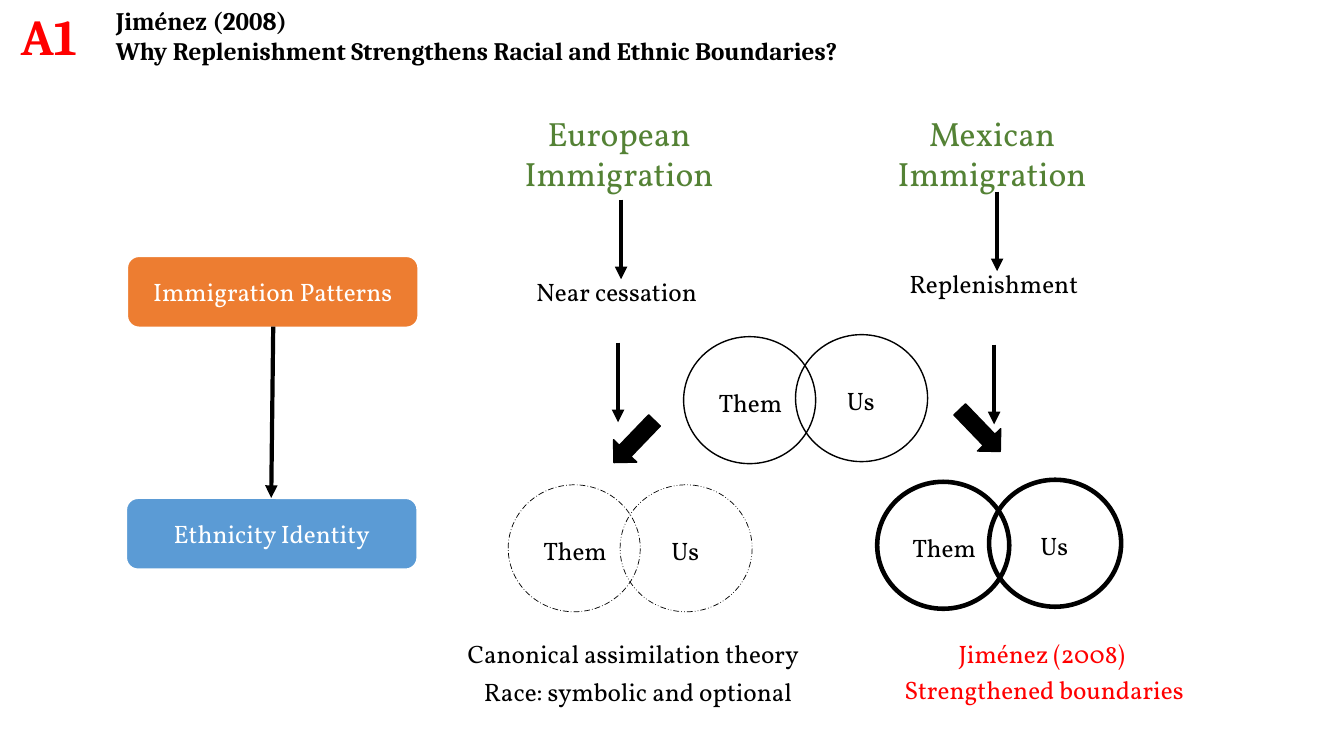
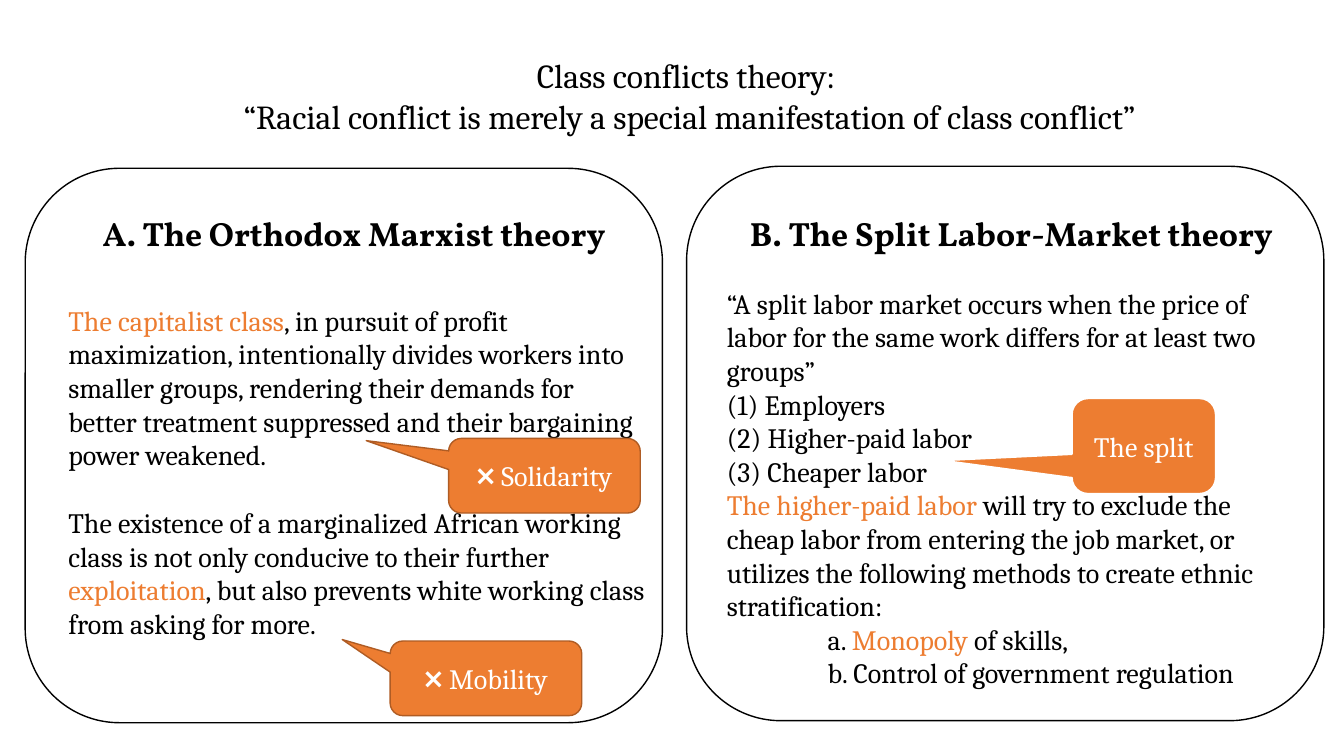
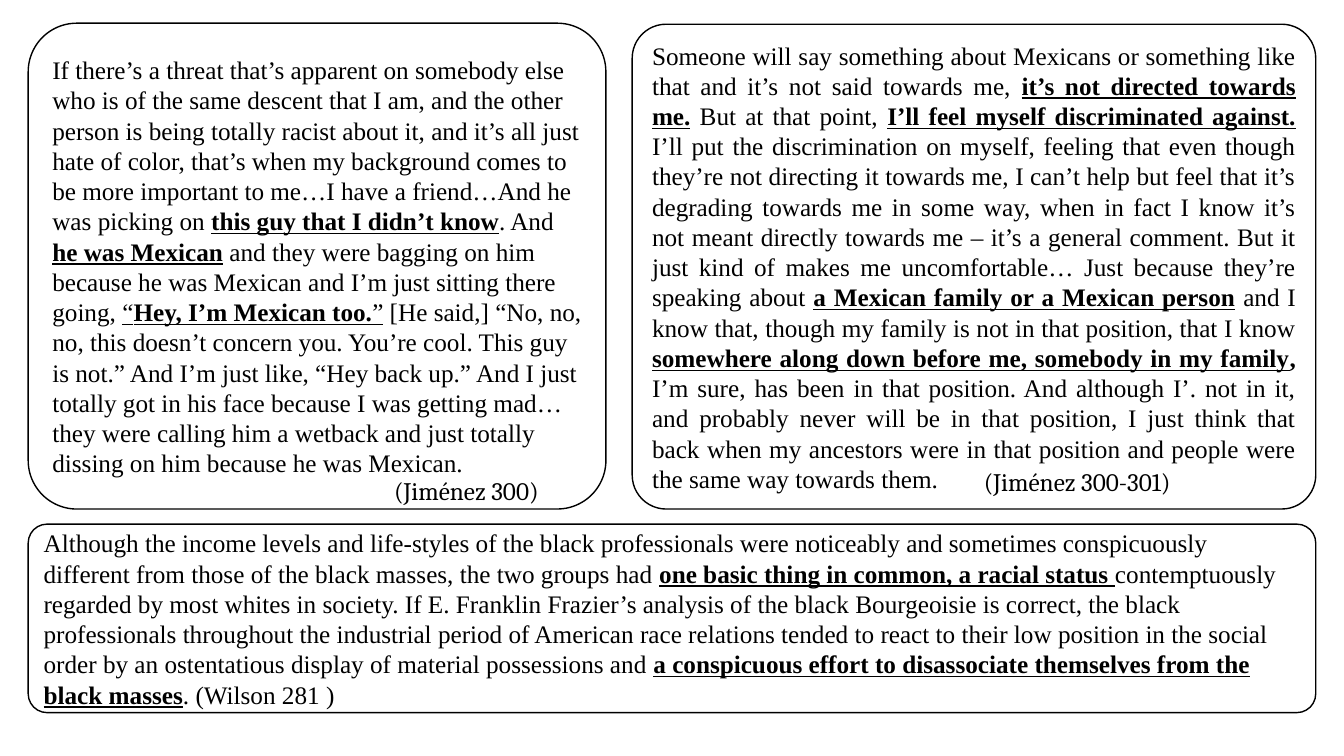
from dataclasses import dataclass, field
from typing import NamedTuple, Optional

from pptx import Presentation
from pptx.dml.color import RGBColor
from pptx.enum.dml import MSO_LINE as Dash
from pptx.enum.shapes import MSO_CONNECTOR, MSO_SHAPE as Preset
from pptx.enum.text import MSO_ANCHOR as Anchor, MSO_AUTO_SIZE as AutoSize, PP_ALIGN as Align
from pptx.oxml.ns import qn
from pptx.util import Inches, Pt
from lxml.etree import SubElement

COLOURS = {
    "black": "000000", "white": "FFFFFF", "red": "FF0000", "green": "548235",
    "orange": "ED7D31", "rust": "AF5C24", "blue": "5B9BD5",
}


class Box(NamedTuple):
    left: float
    top: float
    width: float
    height: float

    def lengths(self) -> list:
        return [Inches(value) for value in self]


@dataclass(frozen=True)
class Style:
    font: str = "Vollkorn"
    size: float = 18
    colour: str = "black"
    bold: bool = False
    align: Align = Align.LEFT


@dataclass(frozen=True)
class Span:
    """A stretch of text that may differ from the style around it."""
    text: str
    colour: Optional[str] = None
    bold: Optional[bool] = None
    underline: Optional[bool] = None


@dataclass(frozen=True)
class Para:
    spans: list
    before: float = 0
    indent: float = 0


@dataclass(frozen=True)
class Label:
    box: Box
    paragraphs: list
    style: Style = field(default_factory=Style)
    wrap: bool = True


@dataclass(frozen=True)
class Outline:
    colour: str = "black"
    width: float = 1
    dash: Optional[Dash] = None


@dataclass(frozen=True)
class Venn:
    """Two overlapping circles; lift raises the right one and its label."""
    left: float
    top: float
    outlines: tuple
    lift: float = 0


@dataclass(frozen=True)
class Callout:
    box: Box
    text: str
    tip: tuple
    outline: Outline


RED = Style(colour="red")
GROUP = Style(size=24, colour="green", align=Align.CENTER)
THEORY = Style(size=24, bold=True)
BUTTON = Style(colour="white", align=Align.CENTER)
HEADING = Style("Cambria", bold=True)
BADGE = Style("Cambria", 36, "red", True)
TITLE = Style("Cambria", 24, align=Align.CENTER)
ARGUMENT = Style("Cambria", 20)
BUBBLE = Style("Cambria", 20, "white", align=Align.CENTER)
CITATION = Style("Cambria")
QUOTE = Style("Times New Roman")
JUSTIFIED = Style("Times New Roman", align=Align.JUSTIFY)
WHITE_EDGE = Outline("white", 1.5)
RUST_EDGE = Outline("rust")
ROUNDING = 0.17


def rgb(name: str) -> RGBColor:
    return RGBColor.from_string(COLOURS[name])


def accent(text: str) -> Span:
    return Span(text, colour="orange")


def strong(text: str) -> Span:
    return Span(text, bold=True, underline=True)


def write(frame, paragraphs: list, style: Style) -> None:
    frame.word_wrap = True
    for index, item in enumerate(paragraphs):
        content = item if isinstance(item, Para) else Para([item])
        paragraph = frame.paragraphs[0] if index == 0 else frame.add_paragraph()
        paragraph.alignment = style.align
        if content.before:
            paragraph.space_before = Pt(content.before)
        if content.indent:
            paragraph._p.get_or_add_pPr().set("marL", str(Inches(content.indent)))
        for part in content.spans:
            span = part if isinstance(part, Span) else Span(part)
            run = paragraph.add_run()
            run.text = span.text
            values = {
                "name": style.font,
                "size": Pt(style.size),
                "bold": style.bold if span.bold is None else span.bold,
                "underline": span.underline,
            }
            for name, value in values.items():
                setattr(run.font, name, value)
            run.font.color.rgb = rgb(span.colour or style.colour)


def add_label(slide, label: Label) -> None:
    frame = slide.shapes.add_textbox(*label.box.lengths()).text_frame
    write(frame, label.paragraphs, label.style)
    frame.word_wrap = label.wrap
    frame.auto_size = AutoSize.SHAPE_TO_FIT_TEXT


def add_preset(slide, preset: Preset, box: Box, fill: Optional[str], outline: Outline,
               adjustments: tuple = ()):
    shape = slide.shapes.add_shape(preset, *box.lengths())
    shape.shadow.inherit = False
    if fill:
        shape.fill.solid()
        shape.fill.fore_color.rgb = rgb(fill)
    else:
        shape.fill.background()
    shape.line.color.rgb = rgb(outline.colour)
    shape.line.width = Pt(outline.width)
    if outline.dash:
        shape.line.dash_style = outline.dash
    for index, value in enumerate(adjustments):
        shape.adjustments[index] = value
    return shape


def add_panel(slide, box: Box, rounding: float = ROUNDING,
              paragraphs: Optional[list] = None, style: Style = QUOTE) -> None:
    panel = add_preset(slide, Preset.ROUNDED_RECTANGLE, box, "white", Outline(), (rounding,))
    if paragraphs:
        write(panel.text_frame, paragraphs, style)
        panel.text_frame.vertical_anchor = Anchor.MIDDLE


def add_button(slide, box: Box, fill: str, text: str) -> None:
    button = add_preset(slide, Preset.ROUNDED_RECTANGLE, box, fill, WHITE_EDGE)
    write(button.text_frame, [text], BUTTON)


def add_callout(slide, callout: Callout) -> None:
    shape = add_preset(slide, Preset.ROUNDED_RECTANGULAR_CALLOUT, callout.box, "orange",
                       callout.outline, (*callout.tip, ROUNDING))
    write(shape.text_frame, [callout.text], BUBBLE)


def add_arrow(slide, start: tuple, end: tuple) -> None:
    ends = [Inches(value) for value in (*start, *end)]
    arrow = slide.shapes.add_connector(MSO_CONNECTOR.STRAIGHT, *ends)
    arrow.line.color.rgb = rgb("black")
    arrow.line.width = Pt(3)
    SubElement(arrow.line._get_or_add_ln(), qn("a:tailEnd"), type="triangle")
    SubElement(arrow._element.spPr, qn("a:effectLst"))


def add_venn(slide, venn: Venn) -> None:
    right_top = venn.top - venn.lift
    circles = [(venn.left, venn.top), (venn.left + 1.11, right_top)]
    for (left, top), outline in zip(circles, venn.outlines):
        add_preset(slide, Preset.OVAL, Box(left, top, 1.31, 1.26), None, outline)
    for text, left, top, width in (("Them", 0.25, venn.top, 0.85), ("Us", 1.52, right_top, 0.51)):
        add_label(slide, Label(Box(venn.left + left, top + 0.45, width, 0.4), [text], wrap=False))


def build_boundaries(slide) -> None:
    add_button(slide, Box(1.26, 2.54, 2.89, 0.71), "orange", "Immigration Patterns")
    add_button(slide, Box(1.25, 4.94, 2.89, 0.71), "blue", "Ethnicity Identity")
    labels = [
        Label(Box(1.05, 0, 7.6, 0.71), [
            "Jiménez (2008)",
            "Why Replenishment Strengthens Racial and Ethnic Boundaries?"], HEADING),
        Label(Box(0.11, 0, 0.94, 0.71), ["A1"], BADGE),
        Label(Box(8.54, 1.07, 2.6, 0.91), ["Mexican Immigration"], GROUP),
        Label(Box(4.6, 1.07, 3.08, 0.91), ["European Immigration"], GROUP),
        Label(Box(5.22, 2.69, 2.16, 0.4), ["Near cessation"]),
        Label(Box(8.92, 2.61, 2.16, 0.4), ["Replenishment"]),
        Label(Box(4.54, 6.28, 3.63, 0.4), ["Canonical assimilation theory"]),
        Label(Box(4.7, 6.66, 4.1, 0.4), ["Race: symbolic and optional"]),
        Label(Box(9.41, 6.28, 3.19, 0.4), ["Jiménez (2008)"], RED),
        Label(Box(8.87, 6.64, 3.19, 0.4), ["Strengthened boundaries"], RED),
    ]
    for label in labels:
        add_label(slide, label)

    thin, thick = Outline(), Outline(width=3.25)
    faded = tuple(Outline(width=0.5, dash=dash)
                  for dash in (Dash.LONG_DASH_DOT, Dash.DASH_DOT_DOT))
    for venn in (Venn(6.78, 3.34, (thin, thin), 0.02),
                 Venn(5.04, 4.81, faded),
                 Venn(8.7, 4.78, (thick, thick), 0.02)):
        add_venn(slide, venn)

    for left, top, rotation in ((6.13, 4.09, 43.9), (9.56, 3.98, 316.1)):
        block = add_preset(slide, Preset.DOWN_ARROW, Box(left, top, 0.32, 0.58),
                           "black", Outline())
        block.rotation = rotation

    add_arrow(slide, (2.71, 3.24), (2.69, 4.94))
    for x, y in ((6.16, 1.98), (9.89, 1.9), (6.13, 3.4), (9.86, 3.42)):
        add_arrow(slide, (x, y), (x, y + 0.79))


def build_theories(slide) -> None:
    for left, top in ((6.81, 1.65), (0.25, 1.67)):
        add_panel(slide, Box(left, top, 6.32, 5.5))
    labels = [
        Label(Box(1.06, 0.5, 11.56, 0.91), [
            "Class conflicts theory: ",
            "“Racial conflict is merely a special manifestation of class conflict”"], TITLE),
        Label(Box(0.92, 2.06, 5.7, 0.5), ["A. The Orthodox Marxist theory"], THEORY),
        Label(Box(7.34, 2.06, 5.7, 0.5), ["B. The Split Labor-Market theory"], THEORY),
        Label(Box(0.58, 2.96, 5.94, 3.47), [
            Para([accent("The capitalist class"),
                  ", in pursuit of profit maximization, intentionally divides workers into "
                  "smaller groups, rendering their demands for better treatment suppressed "
                  "and their bargaining power weakened."]),
            Para(["The existence of a marginalized African working class is not only "
                  "conducive to their further ",
                  accent("exploitation"),
                  ", but also prevents white working class from asking for more."],
                 before=24.5)], ARGUMENT),
        Label(Box(7.11, 2.79, 5.72, 4.14), [
            "“A split labor market occurs when the price of labor for the same work "
            "differs for at least two groups”",
            "(1) Employers",
            "(2) Higher-paid labor",
            "(3) Cheaper labor",
            Para([accent("The higher-paid labor "),
                  "will try to exclude the cheap labor from entering the job market, or "
                  "utilizes the following methods to create ethnic stratification:"]),
            Para(["a. ", accent("Monopoly"), " of skills,"], indent=1),
            Para(["b. Control of government regulation"], indent=1)], ARGUMENT),
    ]
    for label in labels:
        add_label(slide, label)
    for callout in (
        Callout(Box(10.63, 3.95, 1.43, 0.95), "The split", (-1.41, 0.15), WHITE_EDGE),
        Callout(Box(4.45, 4.35, 1.9, 0.74), "❌ Solidarity", (-0.93, -0.47), RUST_EDGE),
        Callout(Box(3.87, 6.36, 1.9, 0.74), "❌ Mobility", (-0.75, -0.52), RUST_EDGE),
    ):
        add_callout(slide, callout)


def build_quotes(slide) -> None:
    add_panel(slide, Box(6.27, 0.24, 6.78, 4.81), 0.07, [Para([
        "Someone will say something about Mexicans or something like that and it’s not said "
        "towards me, ",
        strong("it’s not directed towards me."),
        " But at that point, ",
        strong("I’ll feel myself discriminated against."),
        " I’ll put the discrimination on myself, feeling that even though they’re not "
        "directing it towards me, I can’t help but feel that it’s degrading towards me in "
        "some way, when in fact I know it’s not meant directly towards me – it’s a general "
        "comment. But it just kind of makes me uncomfortable… Just because they’re speaking "
        "about ",
        strong("a Mexican family or a Mexican person"),
        " and I know that, though my family is not in that position, that I know ",
        strong("somewhere along down before me, somebody in my family"),
        Span(",", bold=True),
        " I’m sure, has been in that position. And although I’. not in it, and probably "
        "never will be in that position, I just think that back when my ancestors were in "
        "that position and people were the same way towards them.",
    ])], JUSTIFIED)
    add_panel(slide, Box(0.28, 0.23, 5.73, 4.82), 0.1, [Para([
        "If there’s a threat that’s apparent on somebody else who is of the same descent "
        "that I am, and the other person is being totally racist about it, and it’s all just "
        "hate of color, that’s when my background comes to be more important to me…I have a "
        "friend…And he was picking on ",
        strong("this guy that I didn’t know"),
        ". And ",
        strong("he was Mexican"),
        " and they were bagging on him because he was Mexican and I’m just sitting there "
        "going, ",
        Span("“", underline=True),
        strong("Hey, I’m Mexican too."),
        Span("”", underline=True),
        " [He said,] “No, no, no, this doesn’t concern you. You’re cool. This guy is not.” "
        "And I’m just like, “Hey back up.” And I just totally got in his face because I was "
        "getting mad…they were calling him a wetback and just totally dissing on him because "
        "he was Mexican.",
    ])])
    add_panel(slide, Box(0.28, 5.2, 12.77, 1.87), 0.1, [Para([
        "Although the income levels and life-styles of the black professionals were "
        "noticeably and sometimes conspicuously different from those of the black masses, "
        "the two groups had ",
        strong("one basic thing in common, a racial status "),
        "contemptuously regarded by most whites in society. If E. Franklin Frazier’s "
        "analysis of the black Bourgeoisie is correct, the black professionals throughout "
        "the industrial period of American race relations tended to react to their low "
        "position in the social order by an ostentatious display of material possessions and ",
        strong("a conspicuous effort to disassociate themselves from the black masses"),
        ". (Wilson 281 )",
    ])])
    for left, top, text in ((9.66, 4.58, "(Jiménez 300-301)"), (3.81, 4.67, "(Jiménez 300)")):
        add_label(slide, Label(Box(left, top, 2.37, 0.4), [text], CITATION))


def main() -> None:
    presentation = Presentation()
    presentation.slide_width = Inches(13.33)
    presentation.slide_height = Inches(7.5)
    blank = presentation.slide_layouts[6]
    for build in (build_boundaries, build_theories, build_quotes):
        build(presentation.slides.add_slide(blank))
    presentation.save("out.pptx")


if __name__ == "__main__":
    main()
